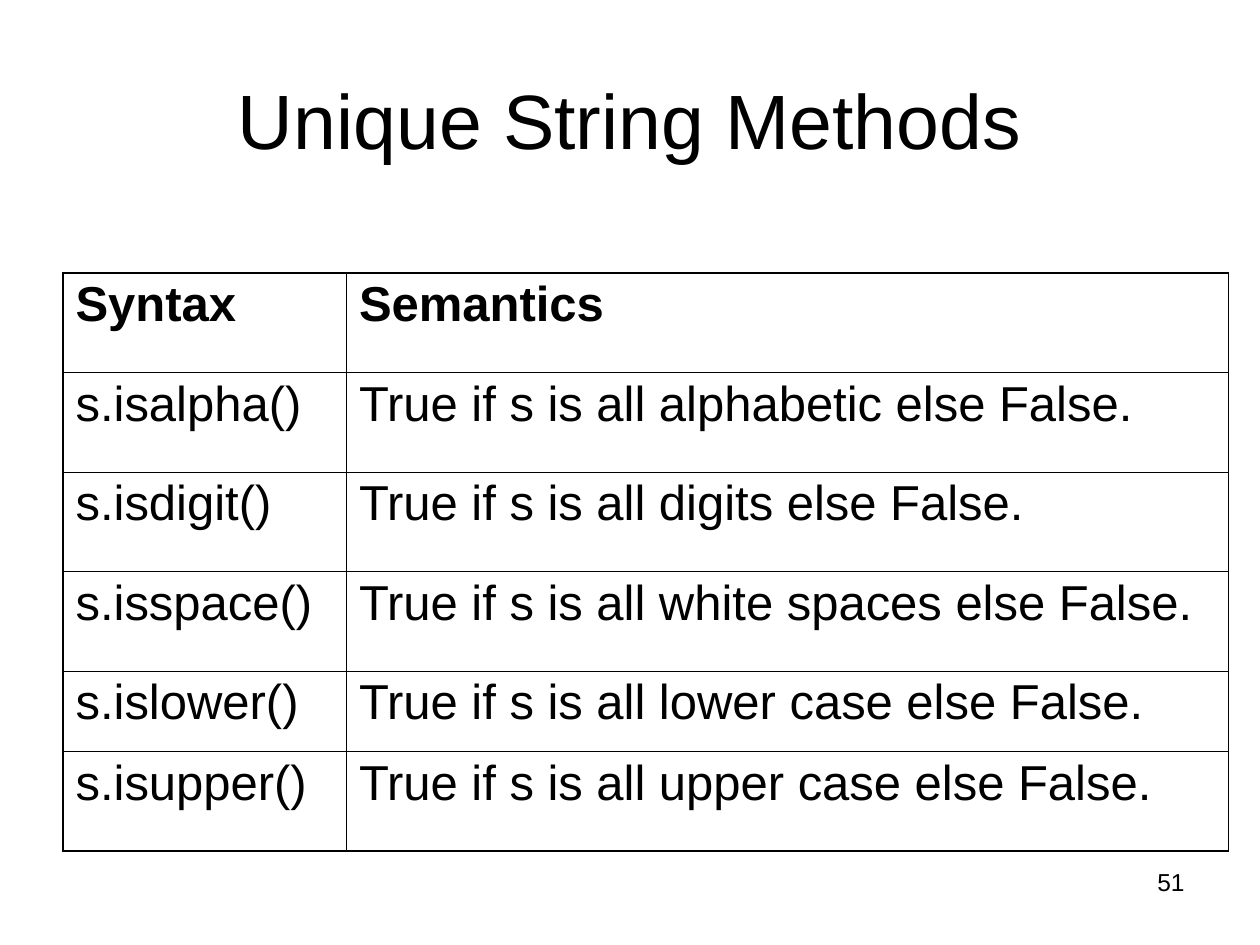
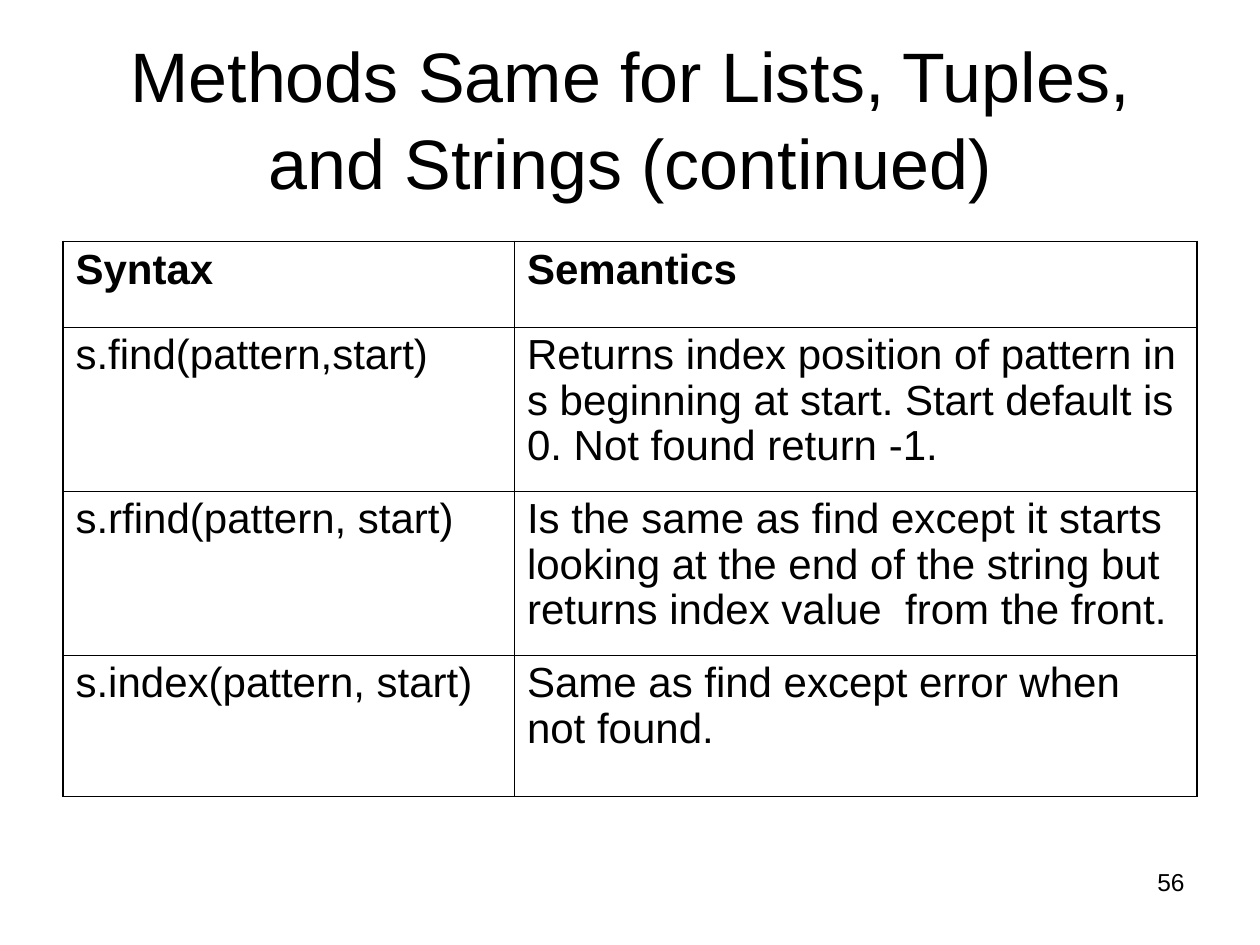
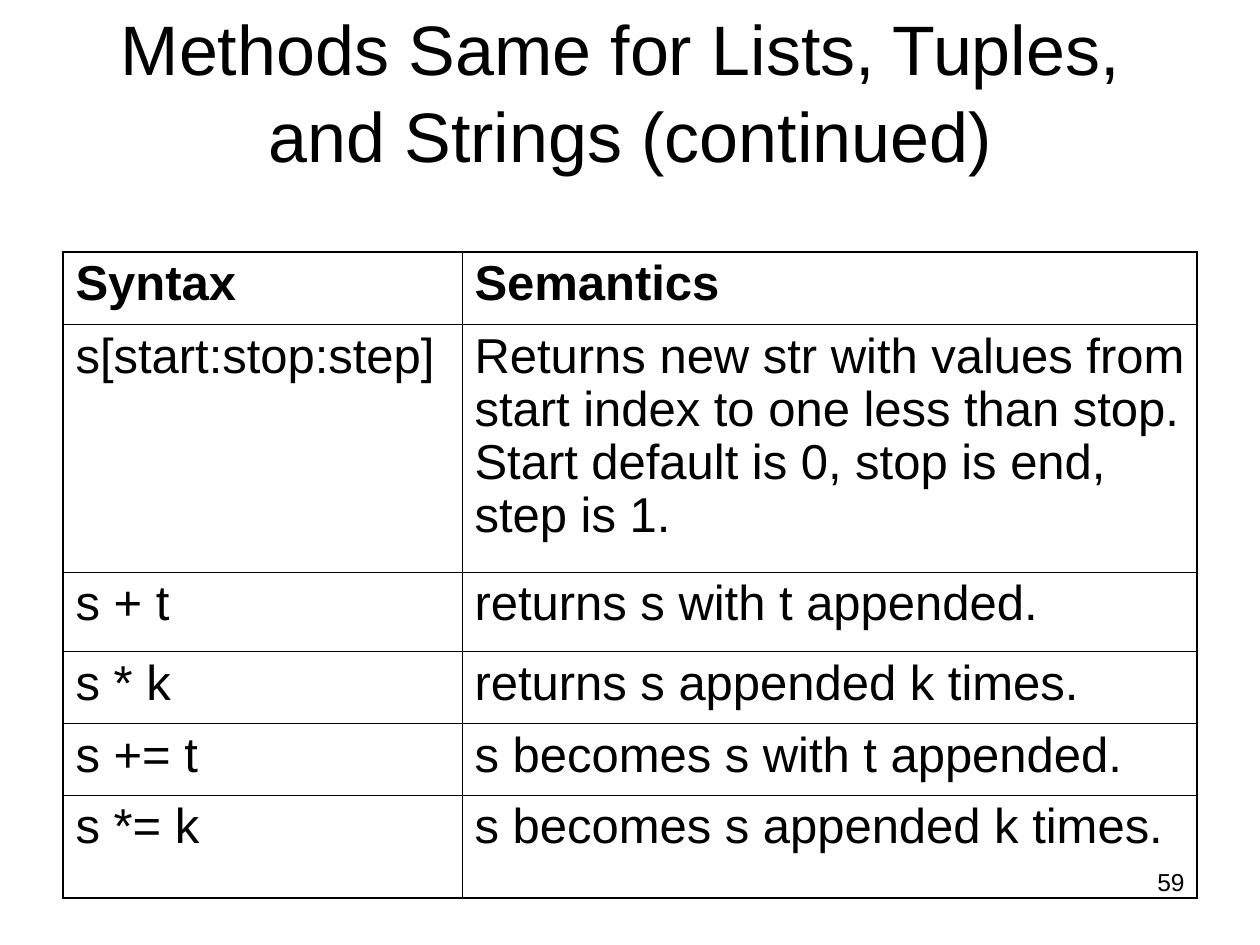
from dataclasses import dataclass

from lxml import etree
from pptx import Presentation
from pptx.dml.color import RGBColor
from pptx.enum.text import MSO_ANCHOR, PP_ALIGN
from pptx.oxml.ns import qn
from pptx.util import Pt

CENTER, LEFT, RIGHT = PP_ALIGN.CENTER, PP_ALIGN.LEFT, PP_ALIGN.RIGHT
TOP, MIDDLE = MSO_ANCHOR.TOP, MSO_ANCHOR.MIDDLE


@dataclass(frozen=True)
class Theme:
    font: str = "Arial"
    ink: str = "000000"
    number_size: int = 14
    title_spacing: float = 1.04
    table_spacing: float = 0.97
    outer_line: float = 1.08
    inner_line: float = 0.45


theme = Theme()
HEADER = ("Syntax", "Semantics")

slides = [
    {
        "number": "51",
        "title": ["Unique String Methods"],
        "title_size": 44, "title_top": 21.6, "title_height": 90,
        "table_top": 156, "text_size": 28,
        "widths": [162, 504],
        "heights": [56.88, 56.88, 56.88, 56.88, 45.9, 56.88],
        "rows": [
            ("s.isalpha()", "True if s is all alphabetic else False."),
            ("s.isdigit()", "True if s is all digits else False."),
            ("s.isspace()", "True if s is all white spaces else False."),
            ("s.islower()", "True if s is all lower case else False."),
            ("s.isupper()", "True if s is all upper case else False."),
        ],
    },
    {
        "number": "56",
        "title": ["Methods Same for Lists, Tuples, and Strings (continued)"],
        "title_size": 40, "title_top": 21.6, "title_height": 90,
        "table_top": 138, "text_size": 24,
        "widths": [258, 390],
        "heights": [49, 93.75, 93.75, 80.75],
        "rows": [
            ("s.find(pattern,start)",
             "Returns index position of pattern in s beginning at start. "
             "Start default is 0. Not found return -1."),
            ("s.rfind(pattern, start)",
             "Is the same as find except it starts looking at the end of "
             "the string but returns index value  from the front."),
            ("s.index(pattern, start)",
             "Same as find except error when not found."),
        ],
    },
    {
        "number": "59",
        "title": ["Methods Same for Lists, Tuples, ", "and Strings (continued)"],
        "title_size": 40, "title_top": 0, "title_height": 102,
        "table_top": 144, "text_size": 28,
        "widths": [228, 420],
        "heights": [41.5, 141.5, 45.5, 41, 41, 58.75],
        "rows": [
            ("s[start:stop:step]",
             "Returns new str with values from start index to one less than "
             "stop. Start default is 0, stop is end, step is 1."),
            ("s + t", "returns s with t appended."),
            ("s * k", "returns s appended k times."),
            ("s += t", "s becomes s with t appended."),
            ("s *= k", "s becomes s appended k times."),
        ],
    },
]


def write(tf, lines, size, align, spacing=1.0, bold=False):
    p = tf.paragraphs[0]
    p.alignment = align
    p.line_spacing = spacing
    for i, line in enumerate(lines):
        if i:
            p.add_line_break()
        r = p.add_run()
        r.text = line
        r.font.name = theme.font
        r.font.size = Pt(size)
        r.font.bold = bold
        r.font.color.rgb = RGBColor.from_string(theme.ink)


def add_text(s, box, lines, size, align, anchor, spacing=1.0):
    sp = s.shapes.add_textbox(*[Pt(v) for v in box])
    tf = sp.text_frame
    tf.word_wrap = True
    tf.vertical_anchor = anchor
    write(tf, lines, size, align, spacing)


prs = Presentation()
prs.slide_width, prs.slide_height = Pt(720), Pt(540)

for data in slides:
    s = prs.slides.add_slide(prs.slide_layouts[6])
    add_text(s, (516, 492, 168, 37.5), [data["number"]],
             theme.number_size, RIGHT, TOP)
    add_text(s, (36, data["title_top"], 648, data["title_height"]),
             data["title"], data["title_size"], CENTER, MIDDLE,
             theme.title_spacing)

    rows = [HEADER] + data["rows"]
    widths, heights = data["widths"], data["heights"]
    table = s.shapes.add_table(
        len(rows), len(widths), Pt(36), Pt(data["table_top"]),
        Pt(sum(widths)), Pt(sum(heights))).table
    table.first_row = table.horz_banding = False
    for column, width in zip(table.columns, widths):
        column.width = Pt(width)
    for row, height in zip(table.rows, heights):
        row.height = Pt(height)

    for i, texts in enumerate(rows):
        for j, text in enumerate(texts):
            cell = table.cell(i, j)
            cell.margin_left = cell.margin_right = Pt(7.2)
            cell.margin_top = cell.margin_bottom = Pt(3.6)
            write(cell.text_frame, [text], data["text_size"], LEFT,
                  theme.table_spacing, bold=i == 0)
            tcPr = cell._tc.get_or_add_tcPr()
            edges = {"a:lnL": j == 0, "a:lnR": j == len(widths) - 1,
                     "a:lnT": i == 0, "a:lnB": i == len(rows) - 1}
            for tag, outer in edges.items():
                weight = theme.outer_line if outer else theme.inner_line
                ln = etree.SubElement(tcPr, qn(tag), w=str(int(Pt(weight))))
                fill = etree.SubElement(ln, qn("a:solidFill"))
                etree.SubElement(fill, qn("a:srgbClr"), val=theme.ink)
            cell.fill.background()

prs.save("out.pptx")
